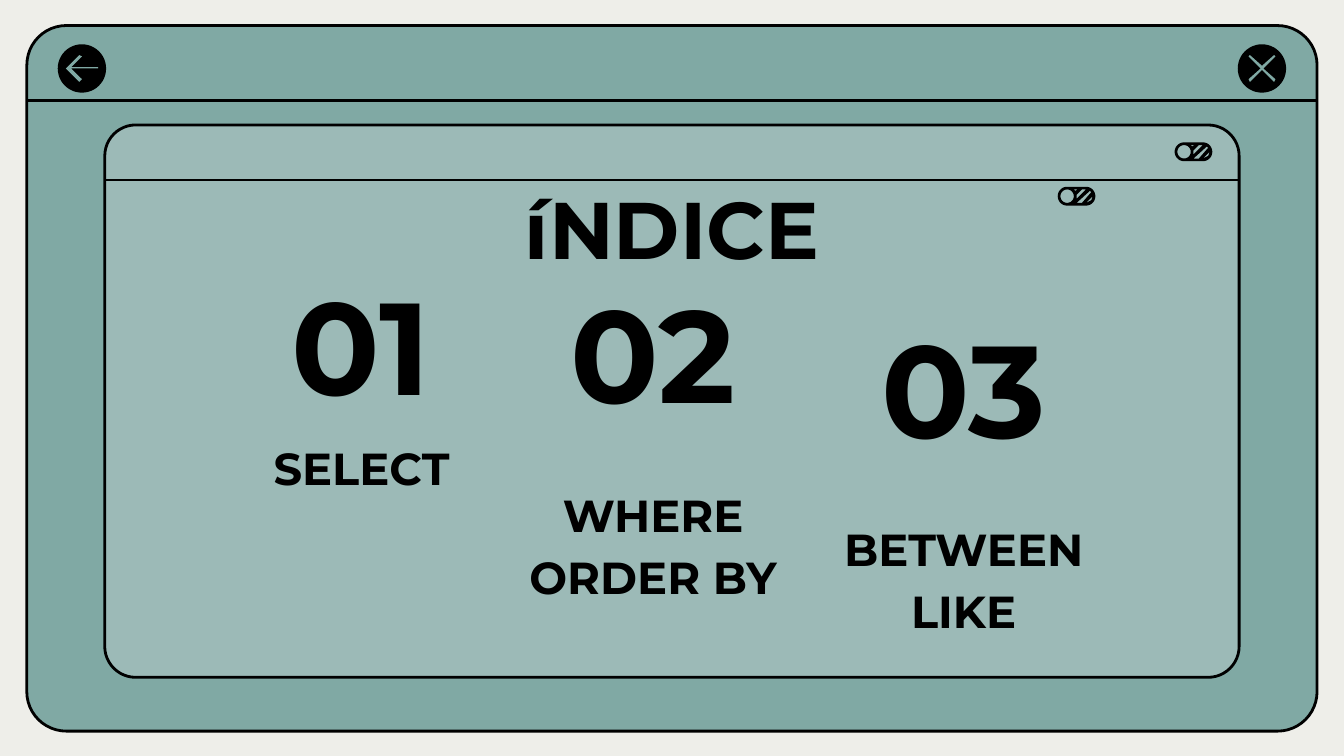
from math import cos, pi, sin

from lxml import etree
from pptx import Presentation
from pptx.dml.color import RGBColor
from pptx.enum import shapes, text
from pptx.oxml.ns import qn
from pptx.util import Inches, Pt

BLACK = RGBColor(0x00, 0x00, 0x00)
CREAM = RGBColor(0xEE, 0xEE, 0xE9)
TEAL = RGBColor(0x80, 0xA9, 0xA4)
PALE_TEAL = RGBColor(0x9C, 0xBA, 0xB7)
FONT = "Montserrat"

ARROW = [(0.59, 0.41), (0.49, 0.51), (0.59, 0.61), (0.61, 0.59), (0.53, 0.51),
         (0.73, 0.51), (0.73, 0.5), (0.53, 0.5), (0.61, 0.42)]
CROSS = [(9.3, 0.41), (9.29, 0.42), (9.38, 0.51), (9.29, 0.59), (9.3, 0.61),
         (9.39, 0.52), (9.48, 0.61), (9.49, 0.59), (9.4, 0.51), (9.49, 0.42),
         (9.48, 0.41), (9.39, 0.49)]
TOGGLE_STRIPES = [
    [(0.15, 0.02), (0.13, 0.03), (0.12, 0.02)],
    [(0.21, 0.02), (0.14, 0.09), (0.14, 0.06), (0.18, 0.02)],
    [(0.24, 0.03), (0.25, 0.04), (0.18, 0.12), (0.14, 0.12)],
    [(0.26, 0.07), (0.25, 0.1), (0.21, 0.12)],
]

# number, its box, topic, its box, space after the topic
ENTRIES = [
    ("01", (1.73, 2.43, 1.92, 0.81), "SELECT", (1.88, 3.12, 1.62, 0.71), 18),
    ("02", (3.9, 2.5, 1.92, 0.8), "WHERE\nORDER BY", (3.76, 3.47, 2.2, 1.52), 16),
    ("03", (6.21, 2.76, 1.92, 0.8), "BETWEEN\nLIKE", (6.07, 3.72, 2.2, 1.52), 16),
]


def set_format(target, values):
    for name, value in values.items():
        setattr(target, name, value)


def fill_shape(shape, color):
    shape.shadow.inherit = False
    shape.fill.solid()
    shape.fill.fore_color.rgb = color
    shape.line.fill.background()


def add_panel(slide, box, color):
    panel = slide.shapes.add_shape(shapes.MSO_SHAPE.ROUNDED_RECTANGLE, *map(Inches, box))
    panel.adjustments[0] = 0.056
    fill_shape(panel, color)
    panel.line.color.rgb = BLACK
    panel.line.width = Pt(1.5)


def add_rule(slide, left, right, y):
    rule = slide.shapes.add_connector(
        shapes.MSO_CONNECTOR.STRAIGHT, Inches(left), Inches(y), Inches(right), Inches(y))
    rule.line.color.rgb = BLACK
    rule.line.width = Pt(1.5)
    etree.SubElement(rule.element.spPr, qn("a:effectLst"))


def add_outline(parent, contours, color):
    """Fill closed contours, given in inches; inner ones become holes."""
    contours = [[(Inches(x), Inches(y)) for x, y in contour] for contour in contours]
    builder = parent.build_freeform(*contours[0][0])
    for index, contour in enumerate(contours):
        if index:
            builder.move_to(*contour[0])
        builder.add_line_segments(contour[1:], close=True)
    fill_shape(builder.convert_to_shape(), color)


def add_button(slide, left, icon):
    group = slide.shapes.add_group_shape()
    disc = group.shapes.add_shape(
        shapes.MSO_SHAPE.OVAL, Inches(left), Inches(0.33), Inches(0.36), Inches(0.36))
    fill_shape(disc, BLACK)
    add_outline(group.shapes, [icon], TEAL)


def arc(center_x, radius, start, end, steps=24):
    angles = [start + (end - start) * step / steps for step in range(steps + 1)]
    return [(center_x + radius * cos(a), 0.07 + radius * sin(a)) for a in angles]


def add_toggle(slide, left, top):
    capsule = arc(0.07, 0.07, pi / 2, 3 * pi / 2) + arc(0.21, 0.07, -pi / 2, pi / 2)
    knob = arc(0.07, 0.05, 0, 2 * pi)
    contours = [[(left + x, top + y) for x, y in contour]
                for contour in (capsule, knob, *TOGGLE_STRIPES)]
    add_outline(slide.shapes, contours, BLACK)


def write_text(shape, words, size, anchor, **paragraph_format):
    frame = shape.text_frame
    set_format(frame, {
        "word_wrap": True, "auto_size": text.MSO_AUTO_SIZE.NONE, "vertical_anchor": anchor,
        "margin_left": Inches(0.1), "margin_right": Inches(0.1),
        "margin_top": Inches(0.1), "margin_bottom": Inches(0.1)})
    paragraph = frame.paragraphs[0]
    paragraph.text = words.replace("\n", "\v")
    set_format(paragraph, {"alignment": text.PP_ALIGN.CENTER, **paragraph_format})
    for run in paragraph.runs:
        set_format(run.font, {"name": FONT, "size": Pt(size), "bold": True})
        run.font.color.rgb = BLACK


def add_title(slide, words, box):
    title = slide.shapes.title
    set_format(title, dict(zip(("left", "top", "width", "height"), map(Inches, box))))
    write_text(title, words, 43, text.MSO_ANCHOR.BOTTOM)
    # Bring the title in front of the panels
    title.element.getparent().append(title.element)


def add_entry(slide, number, number_box, topic, topic_box, space_after):
    number_shape = slide.shapes.add_textbox(*map(Inches, number_box))
    write_text(number_shape, number, 70, text.MSO_ANCHOR.BOTTOM)
    topic_shape = slide.shapes.add_textbox(*map(Inches, topic_box))
    write_text(topic_shape, topic, 24, text.MSO_ANCHOR.TOP,
               line_spacing=1.15, space_after=Pt(space_after))


def main():
    presentation = Presentation()
    presentation.slide_width = Inches(10)
    presentation.slide_height = Inches(10 * 9 / 16)
    slide = presentation.slides.add_slide(presentation.slide_layouts[5])
    slide.background.fill.solid()
    slide.background.fill.fore_color.rgb = CREAM

    add_panel(slide, (0.2, 0.19, 9.6, 5.25), TEAL)
    add_panel(slide, (0.78, 0.93, 8.44, 4.11), PALE_TEAL)
    add_rule(slide, 0.79, 9.22, 1.34)
    add_rule(slide, 0.21, 9.8, 0.75)
    add_button(slide, 9.21, CROSS)
    add_button(slide, 0.43, ARROW)
    add_toggle(slide, 8.74, 1.06)
    add_toggle(slide, 7.87, 1.39)

    add_title(slide, "íNDICE", (0.78, 1.53, 8.44, 0.62))
    for entry in ENTRIES:
        add_entry(slide, *entry)
    presentation.save("out.pptx")


if __name__ == "__main__":
    main()
